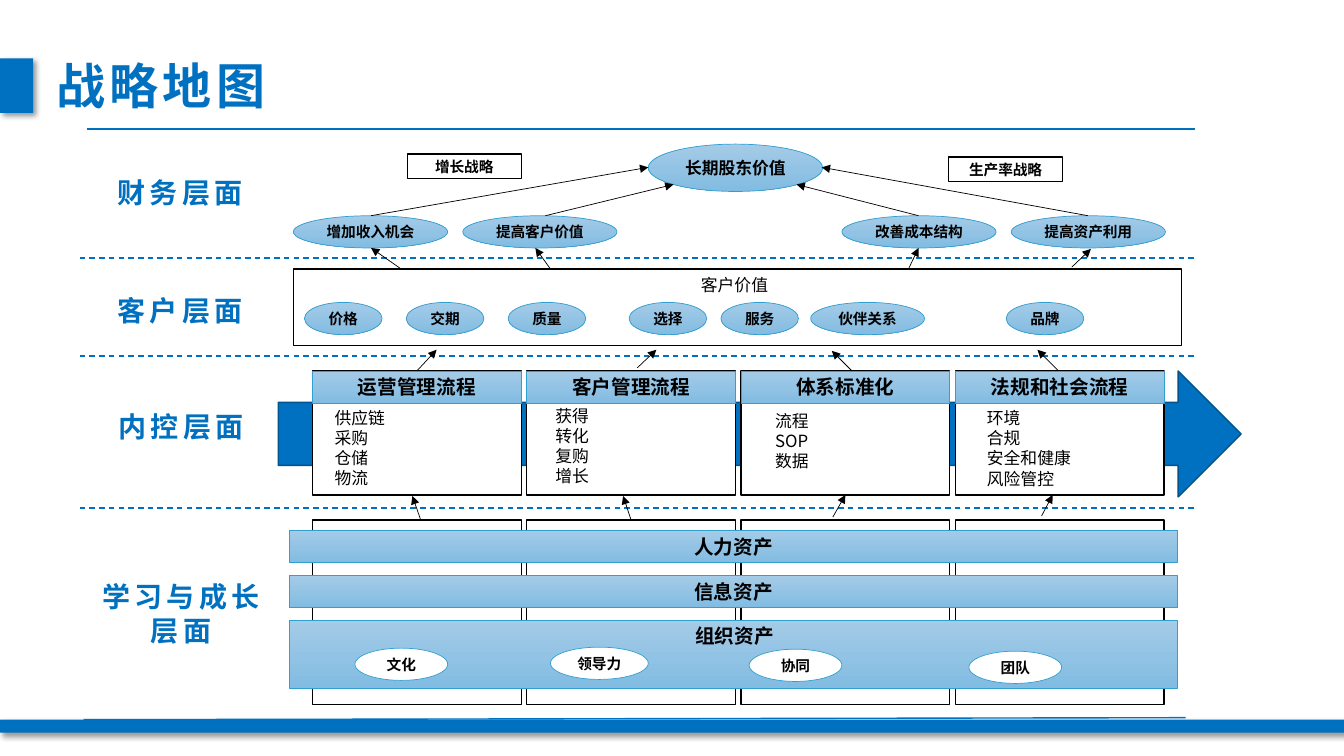
from lxml.etree import SubElement
from pptx import Presentation
from pptx.dml.color import RGBColor
from pptx.enum.dml import MSO_LINE
from pptx.enum.shapes import MSO_CONNECTOR, MSO_SHAPE
from pptx.enum.text import MSO_ANCHOR, PP_ALIGN
from pptx.oxml.ns import qn
from pptx.util import Inches, Pt

BLUE = RGBColor(0x00, 0x70, 0xC0)
NAVY = RGBColor(0x00, 0x53, 0x8E)
SKY = RGBColor(0x32, 0x9F, 0xD1)
LIGHT = RGBColor(0xA4, 0xCB, 0xE7)
DEEP = RGBColor(0x82, 0xBC, 0xE2)
WHITE = RGBColor(0xFF, 0xFF, 0xFF)
BLACK = RGBColor(0x00, 0x00, 0x00)
RECT, OVAL = MSO_SHAPE.RECTANGLE, MSO_SHAPE.OVAL

# Slide and grid, in inches
WIDE, HIGH = 13.33, 7.5
LEFT, STEP, COL = 3.1, 2.125, 2.07  # four process columns
BAR = 0.32                          # height of ovals and bars
SPAN = 8.81                         # width of the full bands

deck = Presentation()
deck.slide_width, deck.slide_height = Inches(WIDE), Inches(HIGH)
slide = deck.slides.add_slide(deck.slide_layouts[6])


def box(x, y, w, h, text="", size=10.5, kind=RECT, fill=None, line=None,
        weight=0.5, bold=True, font="Calibri", color=BLACK,
        align=PP_ALIGN.CENTER, inset=0, wrap=True, space=0):
    shape = slide.shapes.add_shape(kind, Inches(x), Inches(y), Inches(w), Inches(h))
    shape.shadow.inherit = False
    if fill is None:
        shape.fill.background()
    elif fill == LIGHT:
        shape.fill.gradient()
        shape.fill.gradient_angle = 270
        for stop, tone in zip(shape.fill.gradient_stops, (LIGHT, DEEP)):
            stop.color.rgb = tone
    else:
        shape.fill.solid()
        shape.fill.fore_color.rgb = fill
    if line is None:
        shape.line.fill.background()
    else:
        shape.line.color.rgb = line
        shape.line.width = Pt(weight)
    if text:
        frame = shape.text_frame
        frame.word_wrap = wrap
        frame.vertical_anchor = MSO_ANCHOR.MIDDLE
        frame.margin_left = frame.margin_right = Inches(inset)
        frame.margin_top = frame.margin_bottom = 0
        frame.text = text
        for para in frame.paragraphs:
            para.alignment = align
            para.font.size, para.font.bold = Pt(size), bold
            para.font.name, para.font.color.rgb = font, color
            if space:
                para._p.pPr.find(qn("a:defRPr")).set("spc", str(space * 100))
    return shape


def link(x1, y1, x2, y2, color=BLACK, weight=0.5, head=True, dash=False):
    wire = slide.shapes.add_connector(
        MSO_CONNECTOR.STRAIGHT, Inches(x1), Inches(y1), Inches(x2), Inches(y2))
    wire.line.color.rgb = color
    wire.line.width = Pt(weight)
    if dash:
        wire.line.dash_style = MSO_LINE.DASH
    if head:
        SubElement(wire.line._get_or_add_ln(), qn("a:tailEnd"), type="triangle")
    SubElement(wire._element.spPr, qn("a:effectLst"))
    return wire


# Title mark and foot band, both with a soft shadow
for x, y, w, h in ((0, 0.58, 0.33, 0.54), (0, 7.14, WIDE, 0.13)):
    mark = box(x, y, w, h, fill=BLUE)
    glow = SubElement(mark._element.spPr.find(qn("a:effectLst")), qn("a:outerShdw"),
                      blurRad=str(Pt(4)), dist=str(Pt(3)), dir="2700000",
                      algn="tl", rotWithShape="0")
    tone = SubElement(glow, qn("a:srgbClr"), val="000000")
    SubElement(tone, qn("a:alpha"), val="40000")

# Title and layer names
for x, y, w, h, text, size in (
        (0.43, 0.5, 2.33, 0.69, "战略地图", 35),
        (1.04, 1.69, 1.49, 0.44, "财务层面", 20),
        (1.04, 2.86, 1.49, 0.44, "客户层面", 20),
        (1.05, 4.01, 1.49, 0.44, "内控层面", 20),
        (0.89, 5.7, 1.81, 0.77, "学习与成长\n层面", 20)):
    box(x, y, w, h, text, size, font="Lato", color=BLUE, inset=0.1,
        wrap=False, space=3)

# Rules between layers
link(0.86, 1.28, 11.85, 1.28, BLUE, 1, False)
for y in (2.56, 3.53, 5.04):
    link(0.79, y, 11.85, y, BLUE, 1, False, True)
link(0.83, 7.14, 11.76, 7.12, BLUE, 1, False)

# Finance layer
box(6.43, 1.43, 1.73, 0.47, "长期股东价值", 12, OVAL, LIGHT, SKY)
for x, text in ((2.91, "增加收入机会"), (4.59, "提高客户价值"),
                (8.35, "改善成本结构"), (10.03, "提高资产利用")):
    box(x, 2.14, 1.53, BAR, text, kind=OVAL, fill=LIGHT, line=SKY)
for x, y, text in ((4.04, 1.53, "增长战略"), (9.41, 1.56, "生产率战略")):
    box(x, y, 1.13, 0.24, text, fill=WHITE, line=BLACK, weight=1)

# Customer layer
box(2.91, 2.67, SPAN, 0.76, fill=WHITE, line=BLACK, weight=1)
box(6.61, 2.71, 1.35, 0.24, "客户价值", 12, bold=False)
for x, w, text in ((3.02, 0.77, "价格"), (4.03, 0.77, "交期"), (5.04, 0.77, "质量"),
                   (6.24, 0.77, "选择"), (7.15, 0.77, "服务"),
                   (8.04, 1.13, "伙伴关系"), (9.98, 0.77, "品牌")):
    box(x, 3, w, BAR, text, kind=OVAL, fill=LIGHT, line=SKY)

# Process layer: one arrow behind four columns
box(2.76, 3.68, 9.55, 1.25, kind=MSO_SHAPE.RIGHT_ARROW, fill=BLUE, line=NAVY, weight=1)
heads, cards, panels = [], [], []
for i, (name, items, x, y, h) in enumerate((
        ("运营管理流程", "供应链\n采购\n仓储\n物流", 3.22, 4.06, 0.77),
        ("客户管理流程", "获得\n转化\n复购\n增长", 5.41, 4.04, 0.77),
        ("体系标准化", "流程\nSOP\n数据", 7.59, 4.05, 0.65),
        ("法规和社会流程", "环境\n合规\n安全和健康\n风险管控", 9.69, 4.05, 0.79))):
    col = LEFT + i * STEP
    cards.append(box(col, 3.68, COL, 1.23, fill=WHITE, line=BLACK, weight=1))
    heads.append(box(col, 3.68, COL, BAR, name, 14, fill=LIGHT, line=SKY))
    box(x, y, 1.38, h, items, 12, bold=False, font="Noto Sans CJK SC",
        align=PP_ALIGN.LEFT, inset=0.1)
    panels.append(box(col, 5.16, COL, 1.83, fill=WHITE, line=BLACK, weight=1))

# Learning layer
for y, h, text in ((5.26, BAR, "人力资产"), (5.71, BAR, "信息资产"), (6.15, 0.68, "")):
    box(2.87, y, SPAN, h, text, 14, fill=LIGHT, line=SKY)
box(6.61, 6.19, 1.35, 0.24, "组织资产", 14)
for x, y, w, text in ((3.52, 6.43, 0.92, "文化"), (5.46, 6.42, 0.97, "领导力"),
                      (7.43, 6.44, 0.92, "协同"), (9.61, 6.46, 0.92, "团队")):
    box(x, y, w, BAR, text, kind=OVAL, fill=WHITE, line=SKY)

# Arrows up to the top goal, then to the finance ovals
for ends in ((3.68, 2.14, 6.43, 1.66), (5.41, 2.14, 6.68, 1.83),
             (9.11, 2.14, 7.9, 1.83), (10.79, 2.14, 8.15, 1.66),
             (3.98, 2.67, 3.68, 2.46), (5.46, 2.67, 5.31, 2.46),
             (9.01, 2.67, 9.11, 2.46), (10.63, 2.65, 10.82, 2.47)):
    link(*ends)

# Arrows from processes to customers
first = link(4.16, 3.68, 4.33, 3.47)
first.begin_connect(heads[0], 0)
for ends in ((6.32, 3.65, 6.51, 3.47), (8.45, 3.68, 8.25, 3.48),
             (10.49, 3.67, 10.29, 3.47)):
    link(*ends)

# Arrows from learning to processes
link(4.17, 5.15, 4.09, 4.92)
link(6.26, 5.15, 6.18, 4.92).begin_connect(panels[1], 0)
link(8.26, 5.13, 8.36, 4.92).end_connect(cards[2], 2)
link(10.33, 5.12, 10.44, 4.91)

deck.save("out.pptx")
